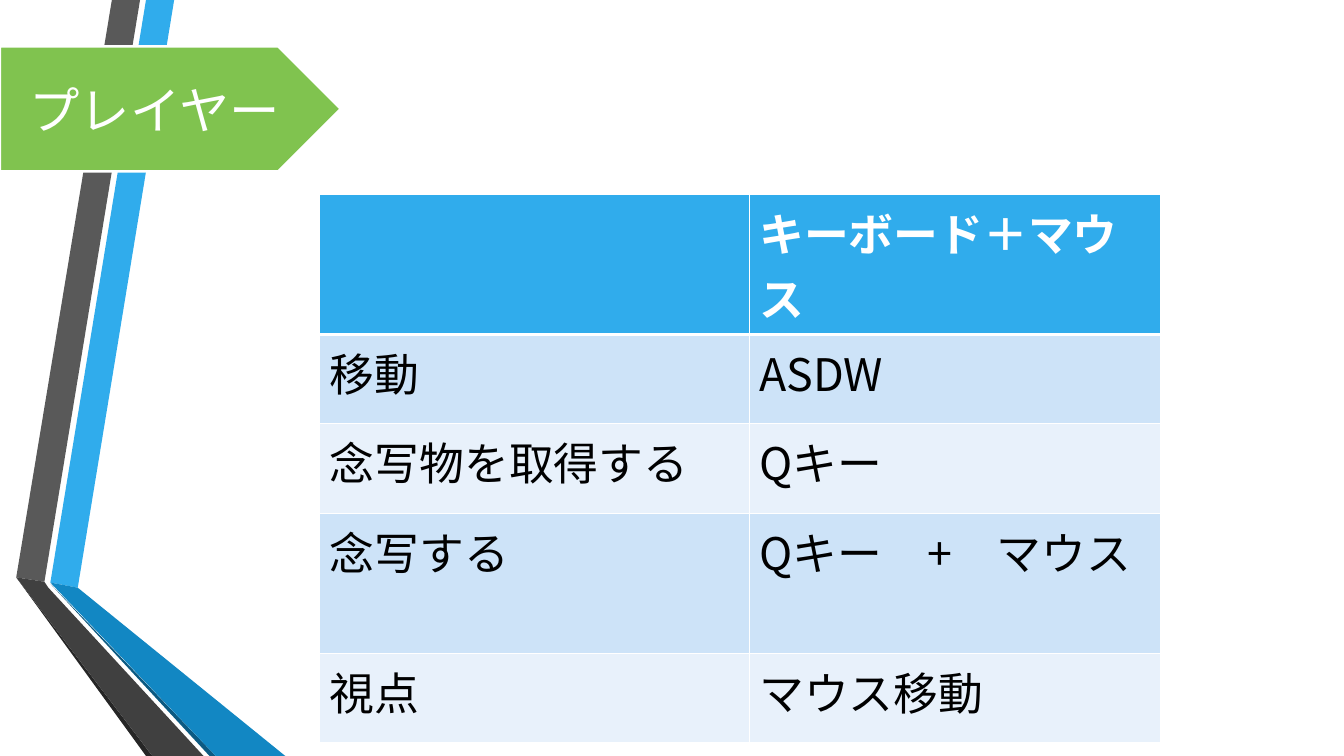
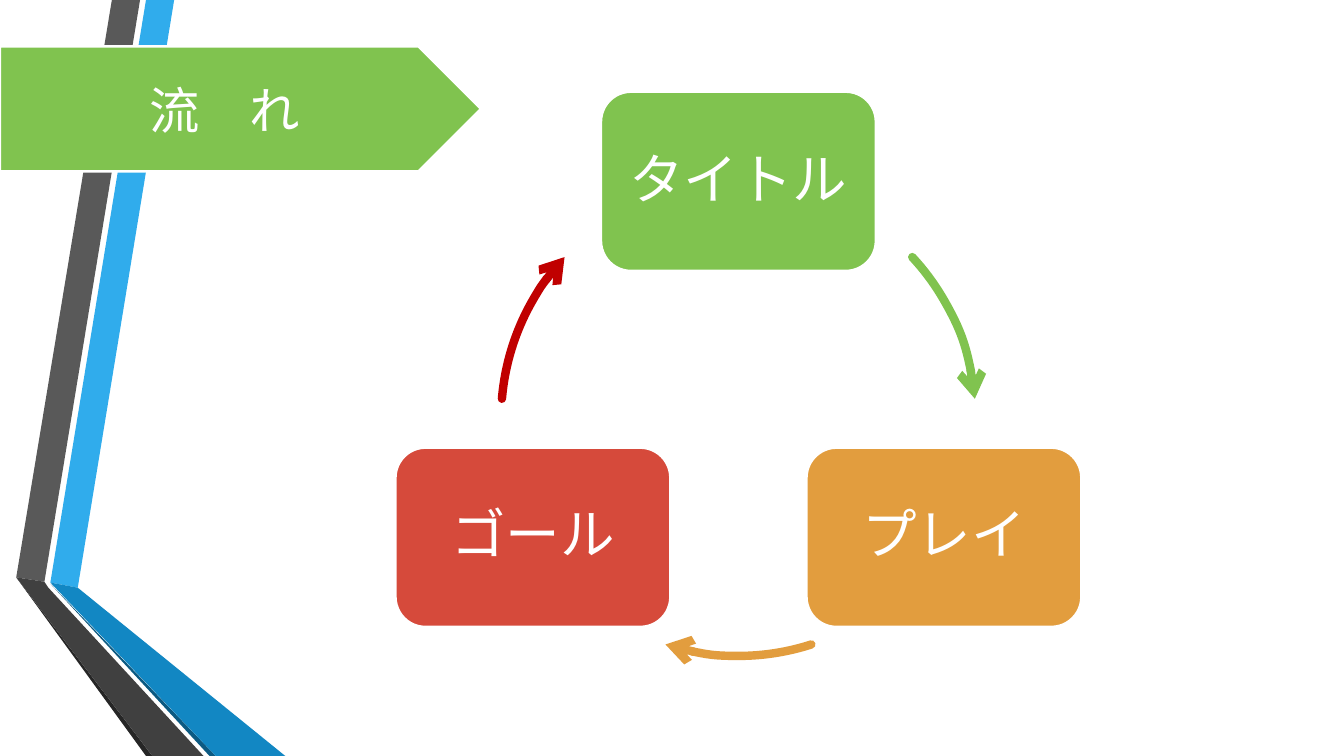
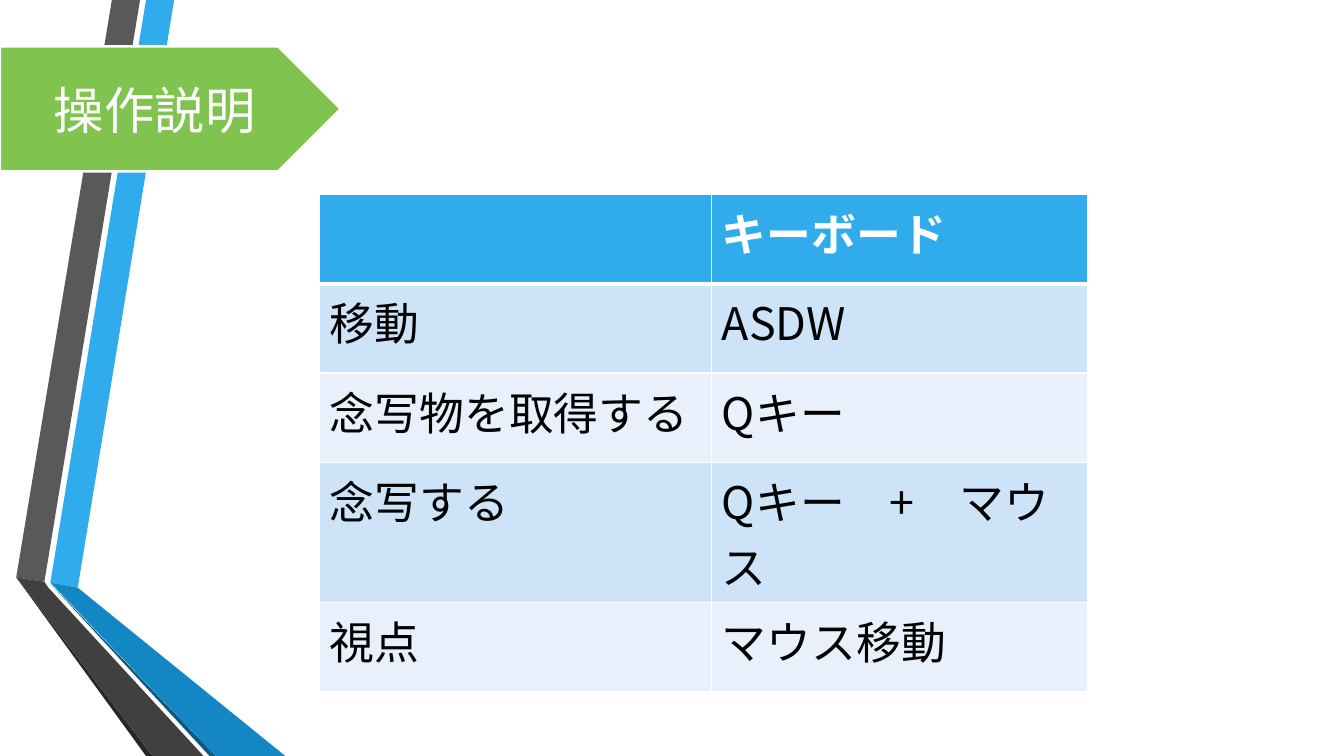
"""Build three game-design slides: player controls, game flow and operation guide."""
import math

from lxml import etree
from pptx import Presentation
from pptx import util as u
from pptx.dml.color import RGBColor
from pptx.enum import shapes, text
from pptx.oxml import ns

COLOURS = {
    "white": "FFFFFF", "black": "000000", "green": "80C34F",
    "blue": "30ACEC", "deep_blue": "1287C3", "navy": "0C5A82",
    "grey": "595959", "dark_grey": "404040", "charcoal": "262626",
    "band": "CDE3F8", "pale_band": "E8F1FB",
    "orange": "E29D3E", "red": "D64A3B", "dark_red": "C00000",
}
LATIN_FONT = "Calibri"
JAPANESE_FONT = "Noto Sans CJK JP"
SLIDE_WIDTH, SLIDE_HEIGHT = 33.87, 19.05

RIBBONS = [
    ("blue", [(1.27, 14.68), (1.96, 14.81), (4.39, 0), (3.68, 0)]),
    ("grey", [(3.53, 0), (2.82, 0), (0.41, 14.55), (1.12, 14.66)]),
    ("charcoal", [(0.41, 14.55), (3.68, 19.05), (3.84, 19.05)]),
    ("navy", [(1.27, 14.71), (5.28, 19.05), (5.44, 19.05)]),
    ("deep_blue", [(1.27, 14.68), (5.44, 19.05), (7.19, 19.05), (1.96, 14.81)]),
    ("dark_grey", [(5.13, 19.05), (1.22, 14.81), (1.12, 14.66),
                   (0.41, 14.55), (3.84, 19.05)]),
]
CONTROLS = [
    ("移動", "ASDW"),
    ("念写物を取得する", "Qキー"),
    ("念写する", "Qキー　+　マウス"),
    ("視点", "マウス移動"),
]
FLOW_STEPS = [
    ("タイトル", "green", "green", (317.1, 355.2)),
    ("プレイ", "orange", "orange", (72.1, 107.9)),
    ("ゴール", "red", "dark_red", (184.8, 222.9)),
]


def colour(name):
    """Return the named colour."""
    return RGBColor.from_string(COLOURS[name])


def write_text(frame, words, size, font=LATIN_FONT, fill="white", bold=False,
               align=text.PP_ALIGN.LEFT, spacing=None):
    """Write one formatted paragraph into a text frame."""
    paragraph = frame.paragraphs[0]
    paragraph.alignment = align
    if spacing:
        paragraph.line_spacing = spacing
    run = paragraph.add_run()
    run.text = words
    run.font.size = u.Pt(size)
    run.font.name = font
    run.font.bold = bold
    run.font.color.rgb = colour(fill)
    east_asian = etree.SubElement(run.font._element, ns.qn("a:ea"))
    east_asian.set("typeface", JAPANESE_FONT)


def paint(shape, fill=None, line=None, width=1):
    """Set the fill and outline of a shape and drop its shadow."""
    shape.shadow.inherit = False
    if fill:
        shape.fill.solid()
        shape.fill.fore_color.rgb = colour(fill)
    else:
        shape.fill.background()
    if line:
        shape.line.color.rgb = colour(line)
        shape.line.width = u.Pt(width)
    else:
        shape.line.fill.background()


def add_box(slide, kind, box, words, size, fill, line_width, spacing=None):
    """Add a filled preset shape with a white outline and centred text."""
    shape = slide.shapes.add_shape(kind, *map(u.Cm, box))
    paint(shape, fill, "white", line_width)
    frame = shape.text_frame
    frame.word_wrap = True
    frame.vertical_anchor = text.MSO_ANCHOR.MIDDLE
    write_text(frame, words, size, align=text.PP_ALIGN.CENTER, spacing=spacing)


def add_ribbons(slide, left=0, top=0):
    """Draw the folded ribbons at the left edge."""
    for fill, points in RIBBONS:
        corners = [(u.Cm(left + x), u.Cm(top + y)) for x, y in points]
        builder = slide.shapes.build_freeform(*corners[0])
        builder.add_line_segments(corners[1:], close=True)
        paint(builder.convert_to_shape(), fill)


def add_titled_slide(presentation, title, title_width):
    """Add a slide with the ribbons and the title arrow."""
    slide = presentation.slides.add_slide(presentation.slide_layouts[6])
    add_ribbons(slide)
    add_box(slide, shapes.MSO_SHAPE.PENTAGON, (0, 1.17, title_width, 3.15),
            title, 36, "green", 1.75)
    return slide


def add_cell_borders(cell, bottom_width):
    """Give a cell white borders."""
    properties = cell._tc.get_or_add_tcPr()
    for side, width in zip("LRTB", (1, 1, 1, bottom_width)):
        line = etree.SubElement(properties, ns.qn(f"a:ln{side}"), w=str(u.Pt(width)))
        fill = etree.SubElement(line, ns.qn("a:solidFill"))
        etree.SubElement(fill, ns.qn("a:srgbClr"), val=COLOURS["white"])


def add_controls_table(slide, left, top, column_widths, heading):
    """Add the table of actions and their keys."""
    rows = [("", heading), *CONTROLS]
    row_height = 2.25
    frame = slide.shapes.add_table(
        len(rows), 2, u.Cm(left), u.Cm(top),
        u.Cm(sum(column_widths)), u.Cm(row_height * len(rows)))
    table = frame.table
    for column, width in zip(table.columns, column_widths):
        column.width = u.Cm(width)
    for row_index, row in enumerate(rows):
        header = row_index == 0
        band = "blue" if header else ("pale_band", "band")[row_index % 2]
        for column_index, words in enumerate(row):
            cell = table.cell(row_index, column_index)
            add_cell_borders(cell, 3 if header else 1)
            cell.fill.solid()
            cell.fill.fore_color.rgb = colour(band)
            if words:
                write_text(cell.text_frame, words, 32, font=JAPANESE_FONT,
                           fill="white" if header else "black", bold=header)


def add_arc_arrow(slide, box, angles, stroke):
    """Draw a clockwise arc with an arrowhead, its angles in degrees."""
    arc = slide.shapes.add_shape(shapes.MSO_SHAPE.ARC, *map(u.Cm, box))
    for index, angle in enumerate(angles):
        arc.adjustments[index] = angle * 0.6
    paint(arc, line=stroke, width=6)
    line = arc.line._get_or_add_ln()
    line.set("cap", "rnd")
    etree.SubElement(line, ns.qn("a:tailEnd"), type="arrow")


def add_cycle(slide, left, top, diameter):
    """Place the steps evenly on a circle, joined by arc arrows."""
    width, height = 6.91, 4.5
    radius = diameter / 2
    for index, (words, fill, stroke, angles) in enumerate(FLOW_STEPS):
        turn = math.radians(360 / len(FLOW_STEPS) * index - 90)
        x = left + radius * (1 + math.cos(turn)) - width / 2
        y = top + radius * (1 + math.sin(turn)) - height / 2
        add_box(slide, shapes.MSO_SHAPE.ROUNDED_RECTANGLE, (x, y, width, height),
                words, 39, fill, 1.25, spacing=0.9)
        add_arc_arrow(slide, (left, top, diameter, diameter), angles, stroke)


def main():
    """Build and save the presentation."""
    presentation = Presentation()
    presentation.slide_width = u.Cm(SLIDE_WIDTH)
    presentation.slide_height = u.Cm(SLIDE_HEIGHT)

    player = add_titled_slide(presentation, "プレイヤー", 8.59)
    add_controls_table(player, 8.06, 4.9, (10.82, 10.36), "キーボード＋マウス")

    flow = add_titled_slide(presentation, "流　れ", 12.12)
    add_cycle(flow, 12.63, 4.57, 11.96)

    guide = add_titled_slide(presentation, "操作説明", 8.59)
    add_controls_table(guide, 8.06, 4.9, (9.88, 9.47), "キーボード")

    presentation.save("out.pptx")


if __name__ == "__main__":
    main()
